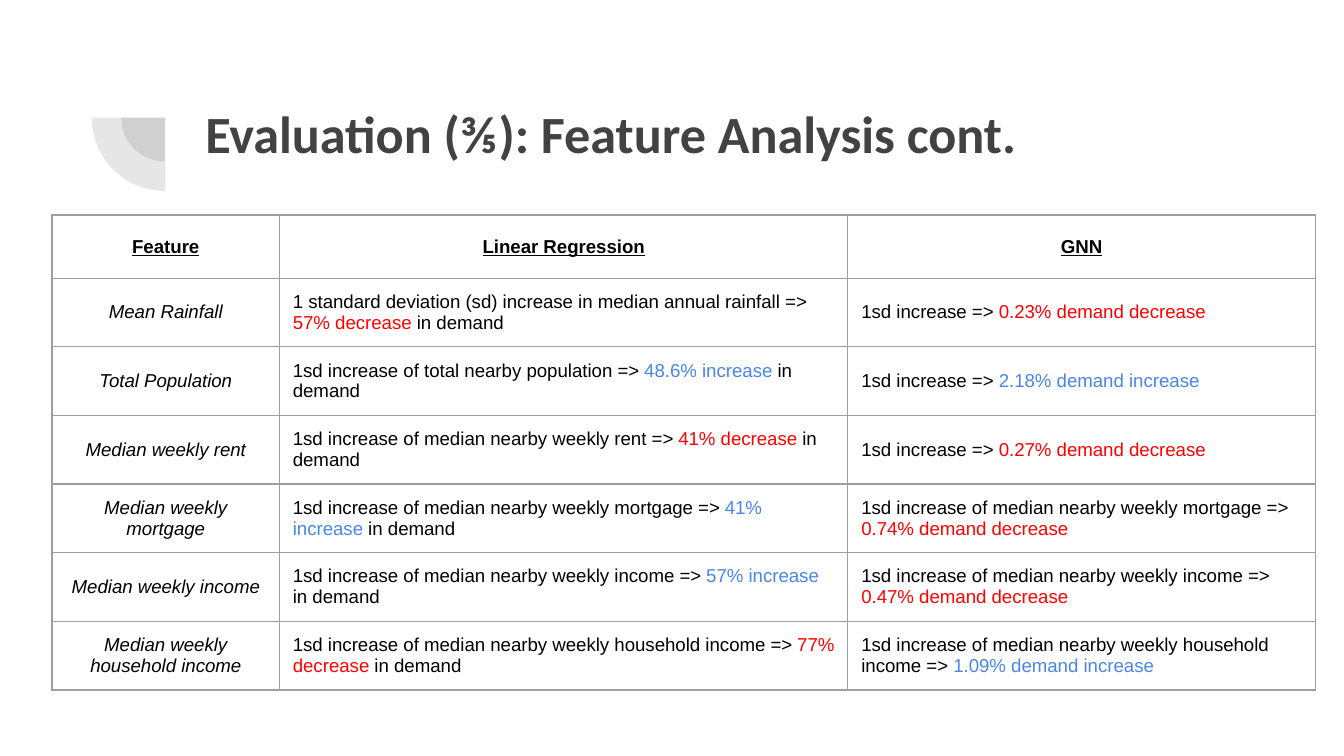
from dataclasses import dataclass

from lxml.etree import SubElement
from pptx import Presentation
from pptx.dml.color import RGBColor
from pptx.enum.shapes import MSO_SHAPE as Shape
from pptx.enum.text import MSO_ANCHOR as Anchor, MSO_AUTO_SIZE as AutoSize, PP_ALIGN as Align
from pptx.oxml import parse_xml
from pptx.oxml.ns import nsdecls, qn
from pptx.util import Inches, Pt


@dataclass(frozen=True)
class Theme:
    title_font: str = "Calibri"
    body_font: str = "Arial"
    title_size: float = 28
    body_size: float = 10
    title_color: str = "424242"
    text: str = "000000"
    rise: str = "4A86E8"
    fall: str = "FF0000"
    border: str = "9E9E9E"
    border_width: float = 0.75
    ornament_alpha: int = 13


@dataclass(frozen=True)
class Box:
    left: float
    top: float
    width: float
    height: float

    def emu(self):
        return [Inches(v) for v in (self.left, self.top, self.width, self.height)]


THEME = Theme()
WIDTH = 10
HEIGHT = WIDTH * 9 / 16
INSET = Inches(0.1)
COLUMN_SHARES = (0.18, 0.45, 0.37)
HEADER_SHARE = 0.47 / 3.53

HEADINGS = ("Feature", "Linear Regression", "GNN")
# Feature, then (cause, effect) for each of the two models
FINDINGS = (
    ("Mean Rainfall",
     ("1 standard deviation (sd) increase in median annual rainfall", "57% decrease"),
     ("1sd increase", "0.23% demand decrease")),
    ("Total Population",
     ("1sd increase of total nearby population", "48.6% increase"),
     ("1sd increase", "2.18% demand increase")),
    ("Median weekly rent",
     ("1sd increase of median nearby weekly rent", "41% decrease"),
     ("1sd increase", "0.27% demand decrease")),
    ("Median weekly mortgage",
     ("1sd increase of median nearby weekly mortgage", "41% increase"),
     ("1sd increase of median nearby weekly mortgage", "0.74% demand decrease")),
    ("Median weekly income",
     ("1sd increase of median nearby weekly income", "57% increase"),
     ("1sd increase of median nearby weekly income", "0.47% demand decrease")),
    ("Median weekly household income",
     ("1sd increase of median nearby weekly household income", "77% decrease"),
     ("1sd increase of median nearby weekly household income", "1.09% demand increase")),
)


def color(code):
    return RGBColor.from_string(code)


def region(left, top, width, height):
    """Box from percentages of the slide's size."""
    return Box(left * WIDTH / 100, top * HEIGHT / 100,
               width * WIDTH / 100, height * HEIGHT / 100)


def add_ornament(page, box):
    """Two translucent quarter circles around the centre of the box."""
    for share in (0.6, 1):
        margin = (1 - share) / 2
        circle = Box(box.left + margin * box.width, box.top + margin * box.height,
                     share * box.width, share * box.height)
        quarter = page.shapes.add_shape(Shape.PIE, *circle.emu())
        # Lower left quarter: 90 to 180 degrees, at 0.6 units a degree
        quarter.adjustments[0], quarter.adjustments[1] = 54, 108
        quarter.shadow.inherit = False
        quarter.line.fill.background()
        quarter.fill.solid()
        quarter.fill.fore_color.rgb = color(THEME.title_color)
        tint = quarter.fill._xPr.find(".//" + qn("a:srgbClr"))
        SubElement(tint, qn("a:alpha"), val=str(THEME.ornament_alpha * 1000))


def fill_title(page, box, text):
    title = page.shapes.title
    title.left, title.top, title.width, title.height = box.emu()
    frame = title.text_frame
    frame.margin_left = frame.margin_right = frame.margin_top = frame.margin_bottom = INSET
    frame.auto_size = AutoSize.NONE
    frame.word_wrap = True
    frame.vertical_anchor = Anchor.TOP
    frame.text = text
    para = frame.paragraphs[0]
    para.alignment = Align.LEFT
    para.font.name = THEME.title_font
    para.font.size = Pt(THEME.title_size)
    para.font.bold = True
    para.font.color.rgb = color(THEME.title_color)


def format_cell(cell):
    cell.margin_left = cell.margin_right = cell.margin_top = cell.margin_bottom = INSET
    cell.vertical_anchor = Anchor.MIDDLE
    cell.fill.background()
    properties = cell._tc.get_or_add_tcPr()
    for index, side in enumerate("LRTB"):
        properties.insert(index, parse_xml(
            f'<a:ln{side} {nsdecls("a")} w="{Pt(THEME.border_width)}"><a:solidFill>'
            f'<a:srgbClr val="{THEME.border}"/></a:solidFill></a:ln{side}>'))


def write_cell(cell, spans, centered=False, bold=False, italic=False, underline=False):
    """Fill the cell with (text, colour) spans."""
    format_cell(cell)
    para = cell.text_frame.paragraphs[0]
    para.alignment = Align.CENTER if centered else Align.LEFT
    for text, code in spans:
        span = para.add_run()
        span.text = text
        font = span.font
        font.name, font.size = THEME.body_font, Pt(THEME.body_size)
        font.bold, font.italic, font.underline = bold, italic, underline
        font.color.rgb = color(code)


def effect_spans(cause, effect, ending=""):
    tone = THEME.rise if effect.endswith("increase") else THEME.fall
    spans = [(f"{cause} => ", THEME.text), (effect, tone)]
    return spans + [(ending, THEME.text)] if ending else spans


def add_findings(page, box):
    table = page.shapes.add_table(len(FINDINGS) + 1, len(HEADINGS), *box.emu()).table
    table.first_row = table.horz_banding = False
    for column, share in zip(table.columns, COLUMN_SHARES):
        column.width = Inches(share * box.width)
    body_share = (1 - HEADER_SHARE) / len(FINDINGS)
    for index, row in enumerate(table.rows):
        row.height = Inches(box.height * (body_share if index else HEADER_SHARE))

    for column, heading in enumerate(HEADINGS):
        write_cell(table.cell(0, column), [(heading, THEME.text)],
                   centered=True, bold=True, underline=True)
    for row, (feature, regression, network) in enumerate(FINDINGS, start=1):
        write_cell(table.cell(row, 0), [(feature, THEME.text)], centered=True, italic=True)
        write_cell(table.cell(row, 1), effect_spans(*regression, " in demand"))
        write_cell(table.cell(row, 2), effect_spans(*network))


def main():
    deck = Presentation()
    deck.slide_width, deck.slide_height = Inches(WIDTH), Inches(HEIGHT)
    page = deck.slides.add_slide(deck.slide_layouts[5])
    add_ornament(page, region(6.83, 5.87, 10.9, 19.38))
    fill_title(page, region(14.27, 11.6, 76.9, 19.4), "Evaluation (⅗): Feature Analysis cont.")
    add_findings(page, region(3.87, 28.45, 94, 62.7))
    deck.save("out.pptx")


if __name__ == "__main__":
    main()
